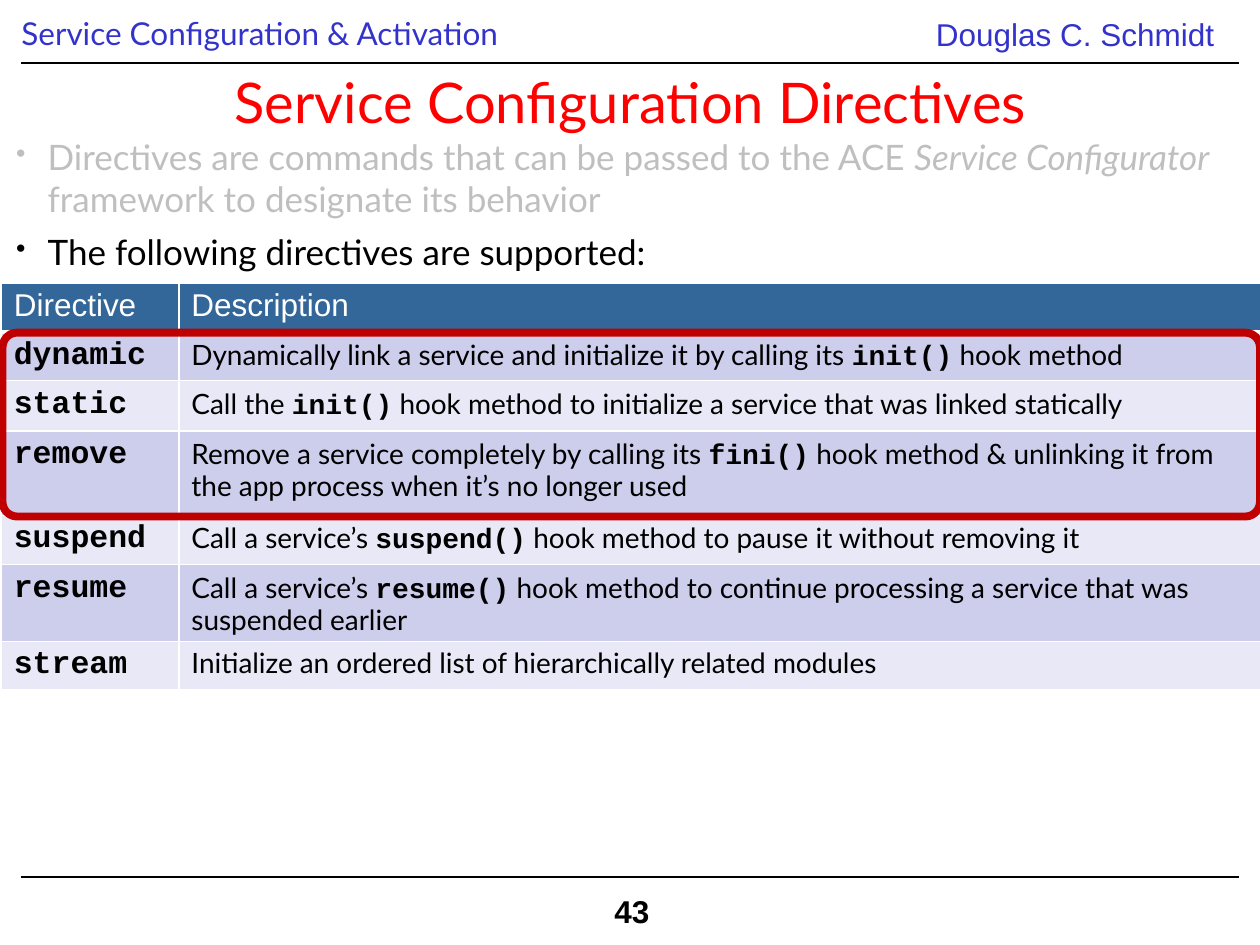
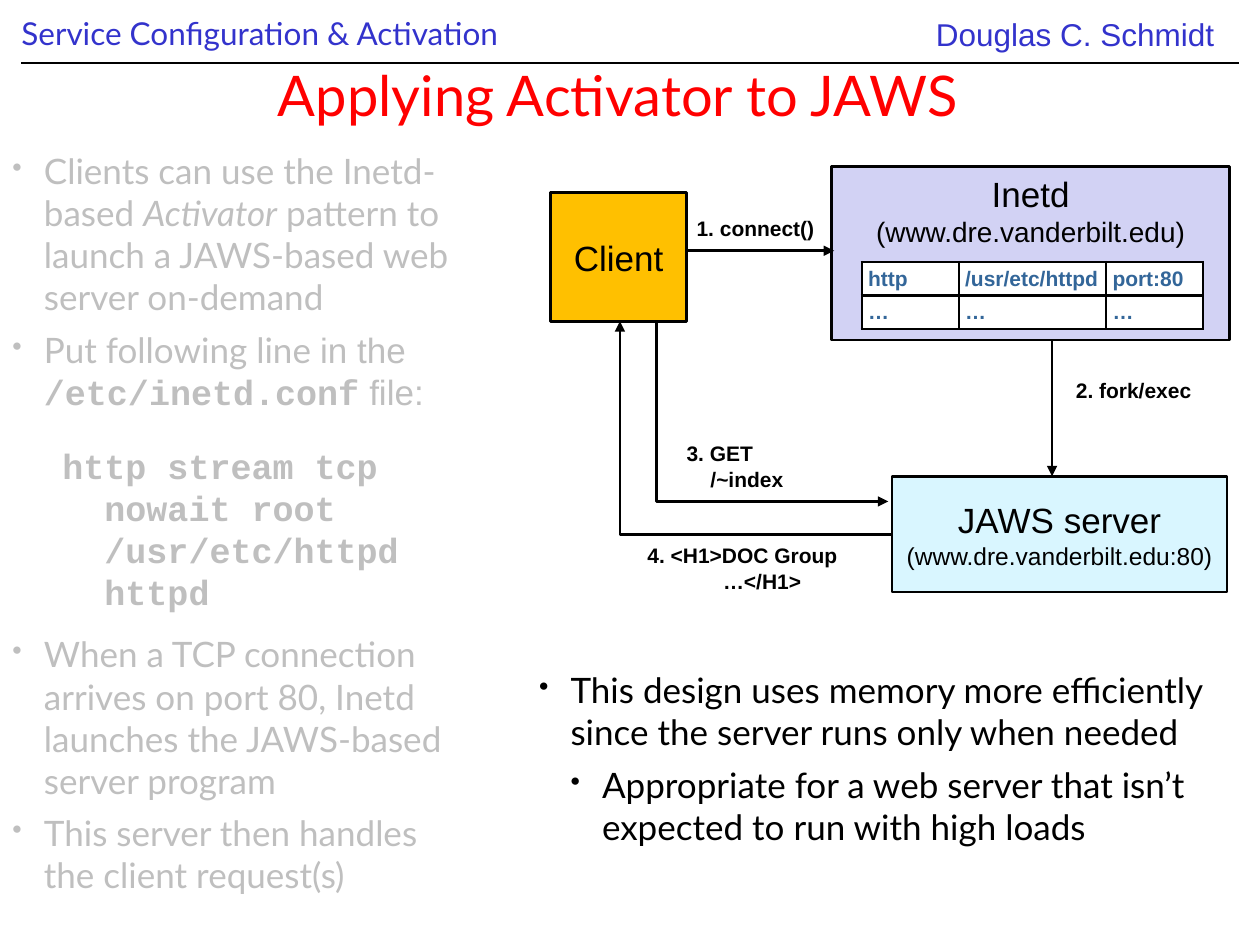
from dataclasses import dataclass
from typing import NamedTuple, Optional, Sequence, Union

import pptx
import pptx.dml.color
import pptx.enum.shapes
import pptx.enum.text
import pptx.oxml.ns
import pptx.util
from lxml import etree

ALIGN = pptx.enum.text.PP_ALIGN
ANCHOR = pptx.enum.text.MSO_ANCHOR
SHAPE = pptx.enum.shapes.MSO_SHAPE
LINE = pptx.enum.shapes.MSO_CONNECTOR


# Theme and grid
@dataclass(frozen=True)
class Theme:
    body: str = "Lato"
    label: str = "Arial"
    code: str = "Courier New"
    title_size: int = 32
    text_size: int = 20
    band_size: int = 18
    cell_size: int = 16
    address_size: int = 14
    label_size: int = 12
    ink: str = "000000"
    paper: str = "FFFFFF"
    title: str = "FF0000"
    band: str = "3333CC"
    faded: str = "BFBFBF"
    steel: str = "336699"
    row_dark: str = "CDCDEC"
    row_light: str = "E8E8F6"
    highlight: str = "C00000"
    client: str = "FFC000"
    inetd: str = "D2D2F4"
    server: str = "D9F6FF"


THEME = Theme()
WIDTH, HEIGHT = pptx.util.Inches(10), pptx.util.Inches(7.5)
COLUMNS, ROWS = 100, 75


class Area(NamedTuple):
    """A place on the grid, in columns and rows."""
    col: float
    row: float
    cols: float
    rows: float


class Run(NamedTuple):
    text: str
    font: Optional[str] = None
    bold: bool = False
    italic: bool = False


class Node(NamedTuple):
    area: Area
    fill: str
    name: str
    address: str = ""
    address_size: int = THEME.address_size
    anchor: ANCHOR = ANCHOR.MIDDLE


class Arrow(NamedTuple):
    area: Area
    end: str = "tailEnd"
    bent: bool = False


class Label(NamedTuple):
    area: Area
    lines: Sequence[str]
    indent: float = 0


Text = Union[str, Sequence[Run]]


def across(cols: float) -> int:
    return round(WIDTH * cols / COLUMNS)


def down(rows: float) -> int:
    return round(HEIGHT * rows / ROWS)


def place(area: Area) -> tuple:
    return across(area.col), down(area.row), across(area.cols), down(area.rows)


def rgb(color: str) -> pptx.dml.color.RGBColor:
    return pptx.dml.color.RGBColor.from_string(color)


def child(parent, tag: str, **attributes: str):
    return etree.SubElement(parent, pptx.oxml.ns.qn(f"a:{tag}"), **attributes)


# Text
def write(frame, text: Text, *, size: int = THEME.text_size, font: str = THEME.body,
          color: str = THEME.ink, bold: bool = False, align: ALIGN = ALIGN.LEFT,
          bullet: bool = False, indent: float = 0, before: float = 0, spacing=None) -> None:
    """Add one paragraph; indent is in grid columns, before in points."""
    first = not frame.text
    paragraph = frame.paragraphs[0] if first else frame.add_paragraph()
    properties = paragraph._p.get_or_add_pPr()
    properties.set("marL", str(across(indent)))
    properties.set("indent", str(across(-2.5) if bullet else 0))
    if bullet:
        child(properties, "buSzPct", val="80000")
        child(properties, "buChar", char="•")
    paragraph.alignment = align
    paragraph.space_before = pptx.util.Pt(0 if first else before)
    if spacing:
        paragraph.line_spacing = spacing
    for part in [Run(text, bold=bold)] if isinstance(text, str) else text:
        run = paragraph.add_run()
        run.text = part.text
        run.font.name = part.font or font
        run.font.size = pptx.util.Pt(size)
        run.font.bold, run.font.italic = part.bold, part.italic
        run.font.color.rgb = rgb(color)


def add_frame(slide, area: Area, *, anchor: ANCHOR = ANCHOR.TOP, wrap: bool = True):
    frame = slide.shapes.add_textbox(*place(area)).text_frame
    frame.word_wrap, frame.vertical_anchor = wrap, anchor
    return frame


# Shapes and lines
def add_outline(slide, preset: SHAPE, area: Area, line: str, points: float,
                fill: Optional[str] = None):
    shape = slide.shapes.add_shape(preset, *place(area))
    shape.shadow.inherit = False
    if fill:
        shape.fill.solid()
        shape.fill.fore_color.rgb = rgb(fill)
    else:
        shape.fill.background()
    shape.line.color.rgb = rgb(line)
    shape.line.width = pptx.util.Pt(points)
    return shape


def add_line(slide, area: Area, points: float = 0.75, end: str = "", bent: bool = False) -> None:
    left, top, width, height = place(area)
    kind = LINE.ELBOW if bent else LINE.STRAIGHT
    connector = slide.shapes.add_connector(kind, left, top, left + width, top + height)
    connector.line.color.rgb = rgb(THEME.ink)
    connector.line.width = pptx.util.Pt(points)
    properties = connector._element.spPr
    if bent:  # one corner, at the lower left
        properties.xfrm.set("rot", "10800000")
        properties.find(pptx.oxml.ns.qn("a:prstGeom")).set("prst", "bentConnector2")
    if end:
        child(connector.line._get_or_add_ln(), end, type="triangle")
    child(properties, "effectLst")


def add_node(slide, node: Node) -> None:
    shape = add_outline(slide, SHAPE.RECTANGLE, node.area, THEME.ink, 1.5, node.fill)
    frame = shape.text_frame
    frame.word_wrap, frame.vertical_anchor = False, node.anchor
    write(frame, node.name, font=THEME.label, align=ALIGN.CENTER)
    if node.address:
        write(frame, node.address, size=node.address_size, font=THEME.label, align=ALIGN.CENTER)


# Tables
def add_grid(slide, col: float, row: float, widths: Sequence[float], heights: Sequence[float]):
    area = Area(col, row, sum(widths), sum(heights))
    table = slide.shapes.add_table(len(heights), len(widths), *place(area)).table
    for column, width in zip(table.columns, widths):
        column.width = across(width)
    for line, height in zip(table.rows, heights):
        line.height = down(height)
    return table


def paint_cell(cell, fill: str, border: str, points: float, bottom: float) -> None:
    cell.fill.solid()
    cell.fill.fore_color.rgb = rgb(fill)
    properties = cell._tc.get_or_add_tcPr()
    for position, side in enumerate("LRTB"):
        width = pptx.util.Pt(bottom if side == "B" else points)
        edge = child(properties, f"ln{side}", w=str(width))
        child(child(edge, "solidFill"), "srgbClr", val=border)
        properties.insert(position, edge)


# Shared slide frame
def start_slide(deck, title: str, area: Area, spacing: Optional[float] = None):
    slide = deck.slides.add_slide(deck.slide_layouts.get_by_name("Title Only"))
    topic = add_frame(slide, Area(1.7, 0.6, 59.2, 4))
    topic.margin_left = topic.margin_right = 0
    write(topic, "Service Configuration & Activation", size=THEME.band_size, color=THEME.band)
    author = add_frame(slide, Area(73.3, 0.7, 25.1, 4))
    write(author, "Douglas C. Schmidt", size=THEME.band_size, font=THEME.label, color=THEME.band)
    add_line(slide, Area(1.7, 5, 96.6, 0))
    heading = slide.shapes.title
    heading.left, heading.top, heading.width, heading.height = place(area)
    frame = heading.text_frame
    frame.auto_size = pptx.enum.text.MSO_AUTO_SIZE.NONE
    frame.vertical_anchor = ANCHOR.MIDDLE
    write(frame, title, size=THEME.title_size, color=THEME.title, align=ALIGN.CENTER,
          spacing=spacing)
    return slide


def hook(before: str, call: str, after: str) -> list:
    return [Run(before), Run(call, THEME.code, bold=True), Run(after)]


DIRECTIVES = [
    ("dynamic", 3.8, hook("Dynamically link a service and initialize it by calling its ",
                          "init()", " hook method")),
    ("static", 4, hook("Call the ", "init()",
                       " hook method to initialize a service that was linked statically")),
    ("remove", 6.7, hook("Remove a service completely by calling its ", "fini()",
                         " hook method & unlinking it from the app process"
                         " when it’s no longer used")),
    ("suspend", 3.9, hook("Call a service’s ", "suspend()",
                          " hook method to pause it without removing it")),
    ("resume", 6.1, hook("Call a service’s ", "resume()",
                         " hook method to continue processing a service"
                         " that was suspended earlier")),
    ("stream", 3.8, "Initialize an ordered list of hierarchically related modules"),
]


def directives_slide(deck) -> None:
    slide = start_slide(deck, "Service Configuration Directives", Area(1.7, 5.9, 96.7, 4.2))
    intro = add_frame(slide, Area(0.3, 10.3, 98.8, 12))
    write(intro, [Run("Directives are commands that can be passed to the ACE "),
                  Run("Service Configurator", italic=True),
                  Run(" framework to designate its behavior")],
          color=THEME.faded, bullet=True, indent=2.5)
    write(intro, "The following directives are supported:", bullet=True, indent=2.5, before=6)

    # Directive table, with the first three directives ringed
    heights = [3.8] + [height for _, height, _ in DIRECTIVES]
    table = add_grid(slide, 0.1, 22.5, [14.1, 86], heights)
    for cell, heading in zip(table.rows[0].cells, ["Directive", "Description"]):
        paint_cell(cell, THEME.steel, THEME.paper, 1, 3)
        write(cell.text_frame, heading, size=THEME.band_size, font=THEME.label,
              color=THEME.paper, spacing=0.95)
    for number, (directive, _, description) in enumerate(DIRECTIVES, 1):
        name_cell, description_cell = table.rows[number].cells
        for cell in (name_cell, description_cell):
            paint_cell(cell, THEME.row_dark if number % 2 else THEME.row_light, THEME.paper, 1, 1)
        write(name_cell.text_frame, directive, size=THEME.band_size, font=THEME.code,
              bold=True, spacing=0.95)
        write(description_cell.text_frame, description, size=THEME.cell_size, spacing=0.95)
    ring = add_outline(slide, SHAPE.ROUNDED_RECTANGLE, Area(0.2, 26.4, 99.8, 14.6),
                       THEME.highlight, 4.5)
    ring.adjustments[0] = 0.08

    # Footer
    add_line(slide, Area(1.7, 69.6, 96.6, 0))
    page = add_frame(slide, Area(47.6, 70.3, 5.1, 4), wrap=False)
    write(page, "43", size=THEME.band_size, font=THEME.label, bold=True, align=ALIGN.CENTER)


STEPS = [  # text and space before
    ([Run("Clients can use the Inetd-based "), Run("Activator", italic=True),
      Run(" pattern to launch a JAWS-based web server on-demand")], 0),
    ([Run("Put following line "), Run("in the ", THEME.label),
      Run("/etc/inetd.conf", THEME.code, bold=True), Run(" file:", THEME.label)], 6),
    ("When a TCP connection arrives on port 80, Inetd launches the JAWS-based server program",
     126),
    ("This server then handles the client request(s)", 6),
]
INETD_ENTRY = [" http stream tcp", "   nowait root", "   /usr/etc/httpd", "   httpd"]
NODES = [
    Node(Area(66, 13.2, 31.6, 13.8), THEME.inetd, "Inetd", "(www.dre.vanderbilt.edu)",
         THEME.cell_size, ANCHOR.TOP),
    Node(Area(70.8, 37.8, 26.6, 9.2), THEME.server, "JAWS server", "(www.dre.vanderbilt.edu:80)"),
    Node(Area(43.7, 15.3, 10.8, 10.2), THEME.client, "Client"),
]
ARROWS = [
    Arrow(Area(54.6, 19.9, 11.6, 0)),
    Arrow(Area(83.5, 27, 0, 10.8)),
    Arrow(Area(52.1, 25.6, 18.4, 14.2), end="headEnd", bent=True),
    Arrow(Area(49.2, 25.5, 21.6, 16.9), bent=True),
]
LABELS = [
    Label(Area(54.3, 16.6, 14.2, 3), ["1. connect()"]),
    Label(Area(84.4, 29.5, 12.1, 3), ["2. fork/exec"]),
    Label(Area(53.5, 34.5, 14.2, 5.1), ["3. GET", "/~index"], 1.9),
    Label(Area(50.4, 42.6, 21.7, 5.1), ["4. <H1>DOC Group", "…</H1>"], 6),
]
SERVICES = [("http", "/usr/etc/httpd", "port:80"), ("…", "…", "…")]


def activator_slide(deck) -> None:
    slide = start_slide(deck, "Applying Activator to JAWS", Area(0.5, 3, 97.1, 10), spacing=0.8)
    steps = add_frame(slide, Area(0, 11.4, 37.5, 60.8))
    for step, before in STEPS:
        write(steps, step, color=THEME.faded, bullet=True, indent=2.5, before=before)
    entry = add_frame(slide, Area(2.3, 34.7, 51.2, 14.5), anchor=ANCHOR.MIDDLE)
    for line in INETD_ENTRY:
        write(entry, line, font=THEME.code, color=THEME.faded, bold=True,
              spacing=pptx.util.Pt(24))
    benefit = add_frame(slide, Area(41.8, 52.6, 56.7, 15.3))
    write(benefit, "This design uses memory more efficiently since the server runs only"
                   " when needed", bullet=True, indent=2.5)
    write(benefit, "Appropriate for a web server that isn’t expected to run with high loads",
          bullet=True, indent=5, before=6)

    # Activation diagram
    for node in NODES:
        add_node(slide, node)
    for arrow in ARROWS:
        add_line(slide, arrow.area, 1.5, arrow.end, arrow.bent)
    for label in LABELS:
        frame = add_frame(slide, label.area)
        for number, line in enumerate(label.lines):
            write(frame, line, size=THEME.label_size, font=THEME.label, bold=True,
                  indent=label.indent * number)

    # Services known to Inetd
    services = add_grid(slide, 68.4, 20.8, [7.7, 11.7, 7.7], [2.65, 2.65])
    for line, service in zip(services.rows, SERVICES):
        for cell, value in zip(line.cells, service):
            paint_cell(cell, THEME.paper, THEME.ink, 1.5, 1.5)
            cell.margin_left = across(0.5)
            cell.margin_right = cell.margin_top = cell.margin_bottom = 0
            cell.vertical_anchor = ANCHOR.MIDDLE
            write(cell.text_frame, value, size=THEME.label_size, font=THEME.label,
                  color=THEME.steel, bold=True)


def main() -> None:
    deck = pptx.Presentation()
    deck.slide_width, deck.slide_height = WIDTH, HEIGHT
    directives_slide(deck)
    activator_slide(deck)
    deck.save("out.pptx")


if __name__ == "__main__":
    main()
